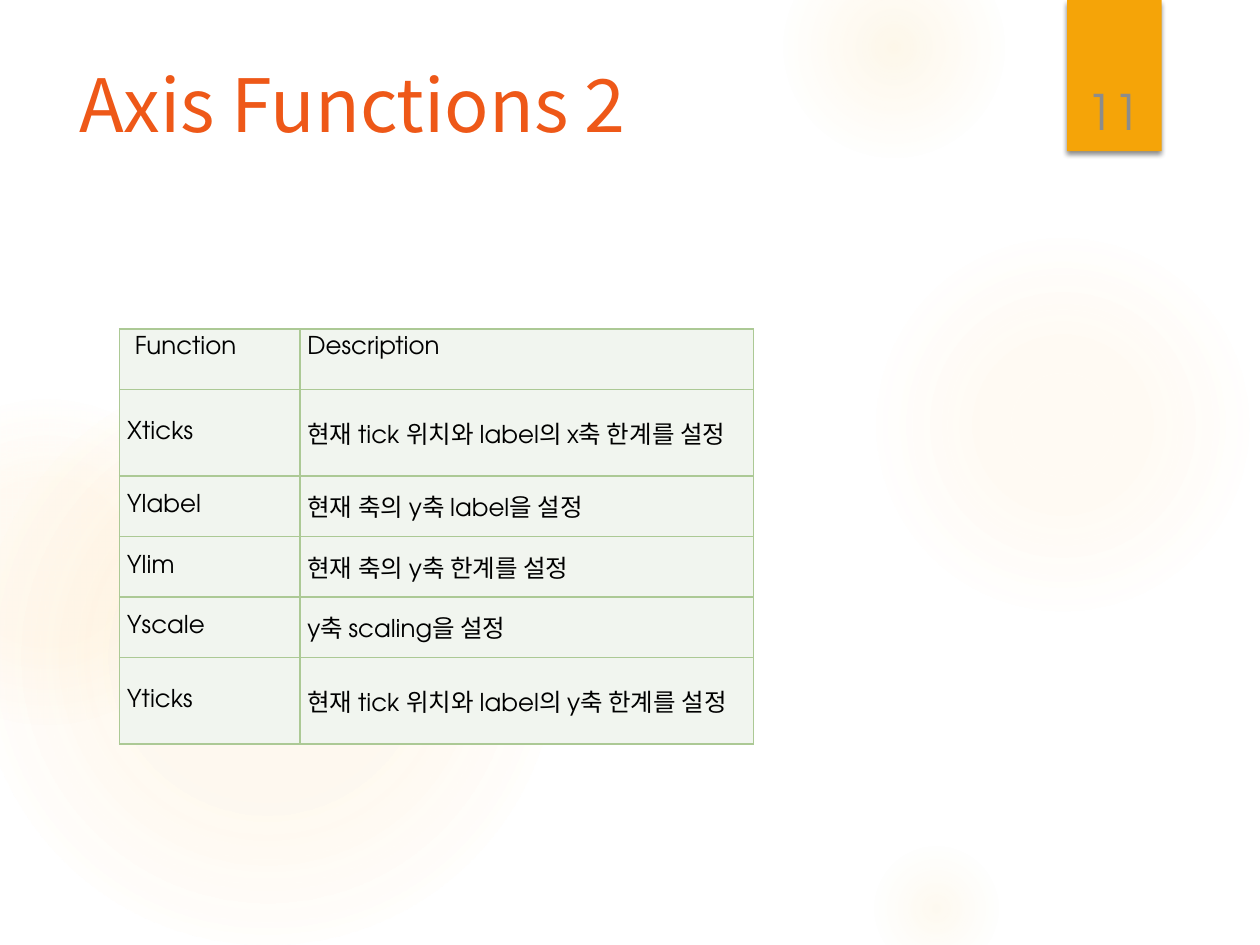
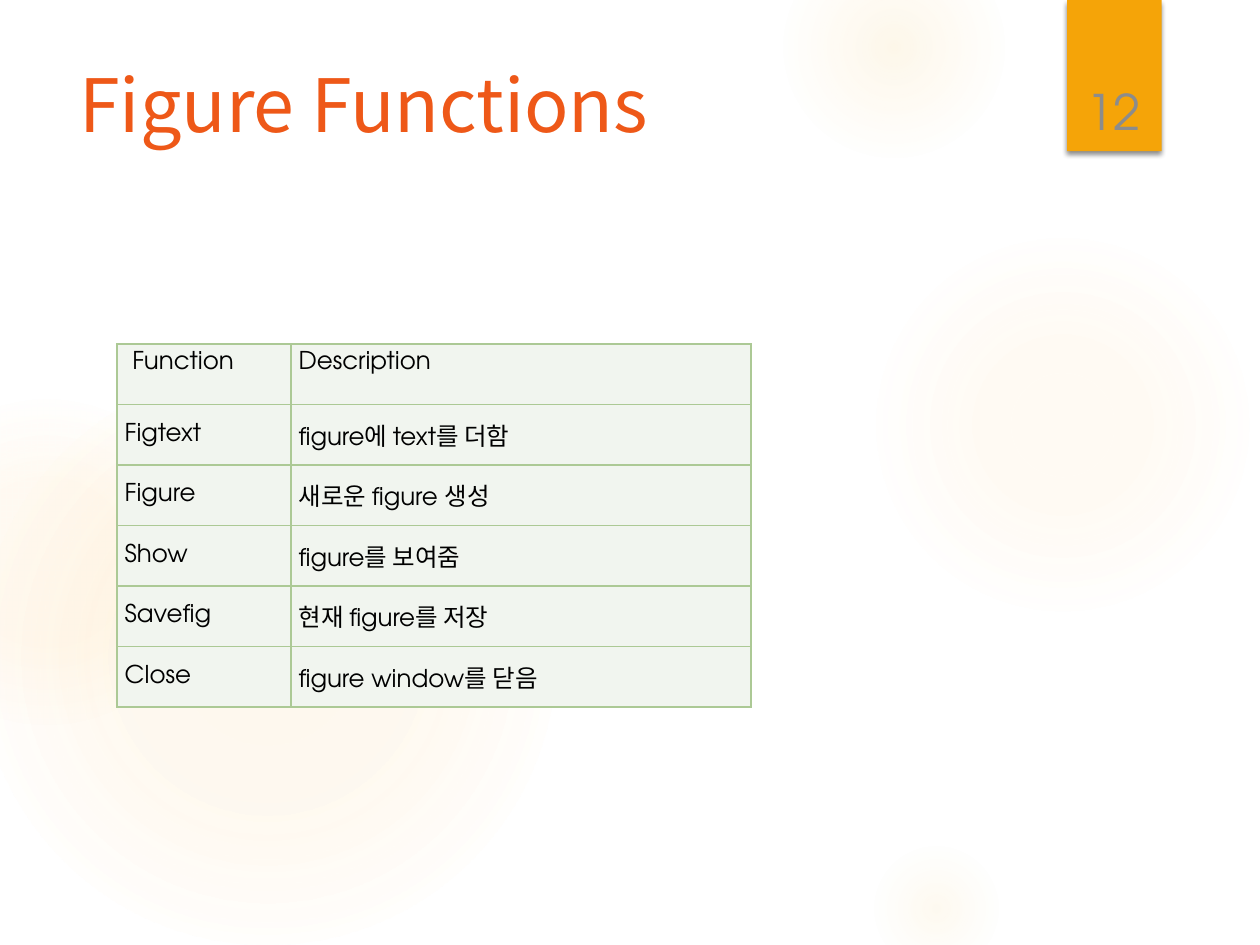
from pptx import Presentation
from pptx.dml.color import RGBColor
from pptx.enum.shapes import MSO_SHAPE as SHAPE
from pptx.enum.text import MSO_ANCHOR as ANCHOR, PP_ALIGN as ALIGN
from pptx.oxml import parse_xml
from pptx.oxml.ns import nsdecls, qn
from pptx.util import Emu, Pt

PX = 9144  # EMU in one px, 100 px to the inch
COLORS = {
    "glow": "FAC96A",
    "ribbon": "F5A408",
    "title": "EE5818",
    "number": "8C8C8C",
    "text": "000000",
    "cell": "F1F5EF",
    "border": "ACC995",
}
BODY_FONT = "TeX Gyre Adventor"
KOREAN_FONT = "Noto Sans CJK KR"

# left, top, diameter, stops as (position %, opacity %)
GLOWS = [
    (689, 183, 308, [(0, 7), (36, 6), (69, 0)]),
    (622, -50, 175, [(0, 14), (36, 7), (73, 0)]),
    (689, 667, 108, [(0, 10), (31, 5), (66, 0)]),
    (-17, 292, 458, [(0, 11), (36, 10), (75, 0)]),
    (-92, 317, 258, [(0, 8), (36, 8), (72, 0)]),
]
HEADER = ("Function", "Description")
AXIS_ROWS = [
    ("Xticks", "현재 tick 위치와 label의 x축 한계를 설정"),
    ("Ylabel", "현재 축의 y축 label을 설정"),
    ("Ylim", "현재 축의 y축 한계를 설정"),
    ("Yscale", "y축 scaling을 설정"),
    ("Yticks", "현재 tick 위치와 label의 y축 한계를 설정"),
]
FIGURE_ROWS = [
    ("Figtext", "figure에 text를 더함"),
    ("Figure", "새로운 figure 생성"),
    ("Show", "figure를 보여줌"),
    ("Savefig", "현재 figure를 저장"),
    ("Close", "figure window를 닫음"),
]


def px(*values):
    return [Emu(v * PX) for v in values]


def set_text(tf, text, size, color, font=BODY_FONT, align=ALIGN.LEFT, spacing=None):
    p = tf.paragraphs[0]
    p.alignment = align
    p.line_spacing = spacing
    r = p.add_run()
    r.text = text
    r.font.size = Pt(size)
    r.font.name = font
    r.font.color.rgb = RGBColor.from_string(COLORS[color])
    east_asian = parse_xml(f'<a:ea {nsdecls("a")} typeface="{KOREAN_FONT}"/>')
    r.font._element.find(qn("a:latin")).addnext(east_asian)


def add_plain_shape(slide, kind, *box):
    sp = slide.shapes.add_shape(kind, *px(*box))
    sp.shadow.inherit = False
    sp.line.fill.background()
    return sp


def add_glow(slide, left, top, size, stops):
    """Add a circle that fades out from its centre."""
    sp = add_plain_shape(slide, SHAPE.OVAL, left, top, size, size)
    sp.fill.background()
    gs = "".join(
        f'<a:gs pos="{pos * 1000}"><a:srgbClr val="{COLORS["glow"]}">'
        f'<a:alpha val="{opacity * 1000}"/></a:srgbClr></a:gs>'
        for pos, opacity in stops
    )
    gradient = parse_xml(
        f'<a:gradFill {nsdecls("a")} rotWithShape="1"><a:gsLst>{gs}</a:gsLst>'
        '<a:path path="circle"><a:fillToRect l="50000" t="50000" r="50000" b="50000"/>'
        "</a:path></a:gradFill>"
    )
    sp_pr = sp.element.spPr
    sp_pr.replace(sp_pr.find(qn("a:noFill")), gradient)
    return sp


def add_ribbon(slide):
    sp = add_plain_shape(slide, SHAPE.RECTANGLE, 847, 0, 75, 120)
    sp.fill.solid()
    sp.fill.fore_color.rgb = RGBColor.from_string(COLORS["ribbon"])
    shadow = parse_xml(
        f'<a:outerShdw {nsdecls("a")} blurRad="{Pt(3)}" dist="{Pt(2)}" dir="5400000" '
        'algn="t" rotWithShape="0"><a:srgbClr val="000000"><a:alpha val="45000"/>'
        "</a:srgbClr></a:outerShdw>"
    )
    sp.element.spPr.find(qn("a:effectLst")).append(shadow)
    return sp


def decorate_layout(layout, slide):
    """Draw the shared background on a slide, then move it to the layout."""
    shapes = [add_glow(slide, *glow) for glow in GLOWS] + [add_ribbon(slide)]
    for i, sp in enumerate(shapes):
        sp.element.xpath(".//p:cNvPr")[0].set("id", str(100 + i))
        layout.shapes.element.insert(2 + i, sp.element)


def add_title(slide, text):
    sp = slide.shapes.title
    sp.left, sp.top, sp.width, sp.height = px(53, 50, 772, 153)
    tf = sp.text_frame
    tf.vertical_anchor = ANCHOR.TOP
    set_text(tf, text, 42, "title", font=KOREAN_FONT, spacing=0.9)


def add_number(slide, number):
    tf = slide.shapes.add_textbox(*px(849, 32, 69, 84)).text_frame
    tf.word_wrap = True
    tf.vertical_anchor = ANCHOR.BOTTOM
    set_text(tf, str(number), 28, "number", align=ALIGN.CENTER)


def set_borders(cell):
    tc_pr = cell._tc.get_or_add_tcPr()
    for side in "LRTB":
        tc_pr.append(parse_xml(
            f'<a:ln{side} {nsdecls("a")} w="{Pt(1)}"><a:solidFill>'
            f'<a:srgbClr val="{COLORS["border"]}"/></a:solidFill></a:ln{side}>'
        ))


def add_function_table(slide, left, top, widths, body, row_height=48):
    rows = [HEADER] + body
    box = px(left, top, sum(widths), row_height * len(rows))
    table = slide.shapes.add_table(len(rows), len(widths), *box).table
    table.first_row = table.horz_banding = False
    for column, width in zip(table.columns, px(*widths)):
        column.width = width
    for i, row in enumerate(rows):
        table.rows[i].height = Emu(row_height * PX)
        for j, text in enumerate(row):
            cell = table.cell(i, j)
            set_borders(cell)
            cell.fill.solid()
            cell.fill.fore_color.rgb = RGBColor.from_string(COLORS["cell"])
            indent = 12 if i == j == 0 else 6
            (cell.margin_left, cell.margin_top,
             cell.margin_right, cell.margin_bottom) = px(indent, 6, 6, 6)
            cell.vertical_anchor = ANCHOR.MIDDLE if i else ANCHOR.TOP
            set_text(cell.text_frame, text, 14, "text")


def main():
    prs = Presentation()
    prs.slide_width, prs.slide_height = px(1000, 750)
    layout = prs.slide_layouts[5]
    pages = [
        (11, "Axis Functions 2", (95, 261, (143, 360), AXIS_ROWS)),
        (12, "Figure Functions", (93, 273, (138, 365), FIGURE_ROWS)),
    ]
    for number, title, table in pages:
        slide = prs.slides.add_slide(layout)
        add_title(slide, title)
        add_function_table(slide, *table)
        add_number(slide, number)
    decorate_layout(layout, prs.slides[0])
    prs.save("out.pptx")


if __name__ == "__main__":
    main()
